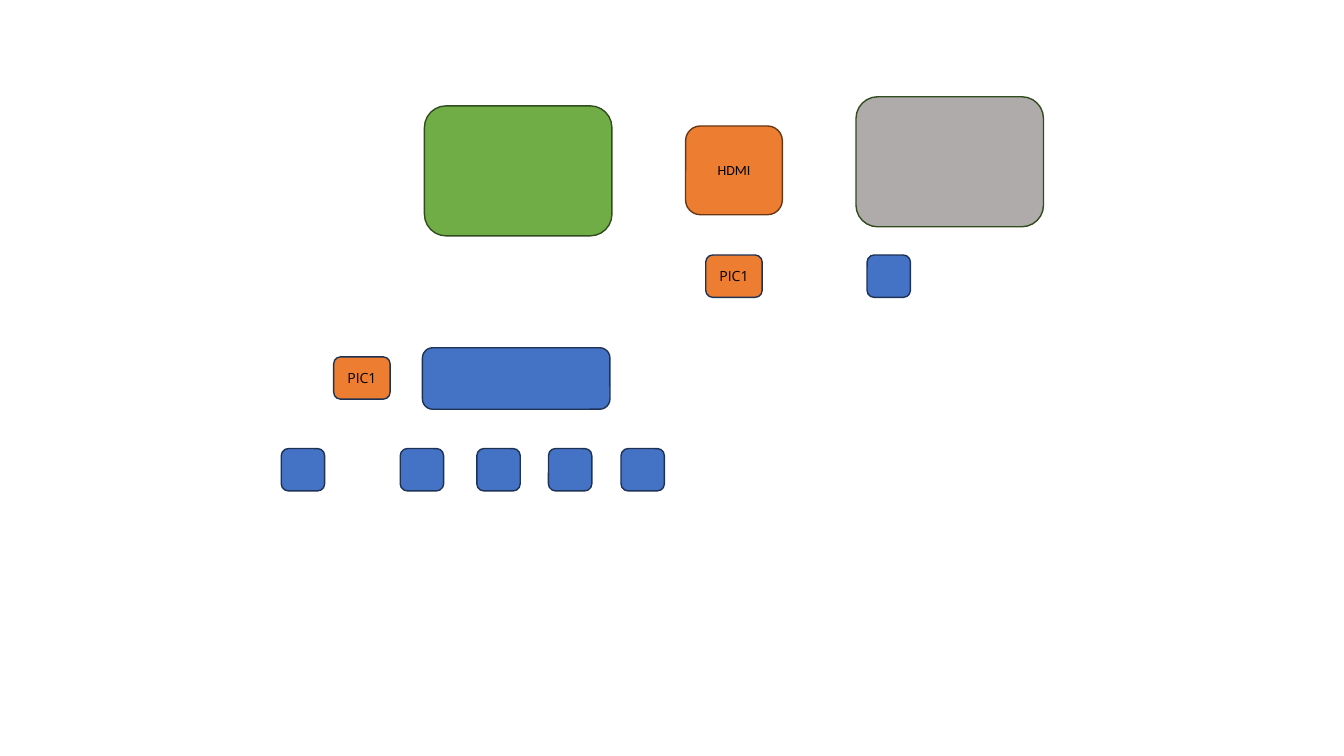
from typing import NamedTuple

from pptx import Presentation
from pptx.dml.color import RGBColor
from pptx.enum.shapes import MSO_SHAPE
from pptx.enum.text import MSO_ANCHOR, PP_ALIGN
from pptx.slide import Slide
from pptx.util import Inches, Pt

ROUND = MSO_SHAPE.ROUNDED_RECTANGLE
MIDDLE = MSO_ANCHOR.MIDDLE
CENTER = PP_ALIGN.CENTER

CELL = 0.1
GREEN, GRAY, BLUE, ORANGE = "70AD47", "AFABAB", "4472C4", "ED7D31"
MOSS, NAVY, BROWN, BLACK = "314C1F", "1E3256", "683715", "000000"


class Size(NamedTuple):
    cols: float
    rows: float


class Box(NamedTuple):
    col: float
    row: float
    size: Size
    fill: str
    edge: str
    label: str = ""
    font: str = "Calibri"


PANEL = Size(18.6, 12.9)
BAR = Size(18.6, 6.1)
HUB = Size(9.6, 8.8)
CHIP = Size(5.6, 4.2)
NODE = Size(4.3, 4.2)
NODES = [(col, 44.5) for col in (27.9, 39.7, 47.3, 54.4, 61.6)] + [(86, 25.3)]
CHIPS = [(33.1, 35.4), (70, 25.3)]

BOXES = [
    Box(42.1, 10.5, PANEL, GREEN, MOSS),
    Box(84.9, 9.6, PANEL, GRAY, MOSS),
    Box(41.9, 34.5, BAR, BLUE, NAVY),
    Box(68, 12.5, HUB, ORANGE, BROWN, "HDMI"),
    *(Box(col, row, NODE, BLUE, NAVY) for col, row in NODES),
    *(Box(col, row, CHIP, ORANGE, NAVY, "PIC1", "Open Sans") for col, row in CHIPS),
]


def color(code: str) -> RGBColor:
    return RGBColor.from_string(code)


def span(cells: float) -> int:
    return Inches(cells * CELL)


def draw(slide: Slide, box: Box) -> None:
    shape = slide.shapes.add_shape(
        ROUND, span(box.col), span(box.row), span(box.size.cols), span(box.size.rows)
    )
    shape.shadow.inherit = False
    shape.fill.solid()
    shape.fill.fore_color.rgb = color(box.fill)
    shape.line.color.rgb = color(box.edge)
    shape.line.width = Pt(1)
    if box.label:
        frame = shape.text_frame
        frame.text = box.label
        frame.vertical_anchor = MIDDLE
        line = frame.paragraphs[0]
        line.alignment = CENTER
        font = line.runs[0].font
        font.name = box.font
        font.size = Pt(10)
        font.color.rgb = color(BLACK)


def main() -> None:
    deck = Presentation()
    deck.slide_width = Inches(13.33)
    deck.slide_height = Inches(7.5)
    slide = deck.slides.add_slide(deck.slide_layouts[6])
    for box in BOXES:
        draw(slide, box)
    deck.save("out.pptx")


if __name__ == "__main__":
    main()
